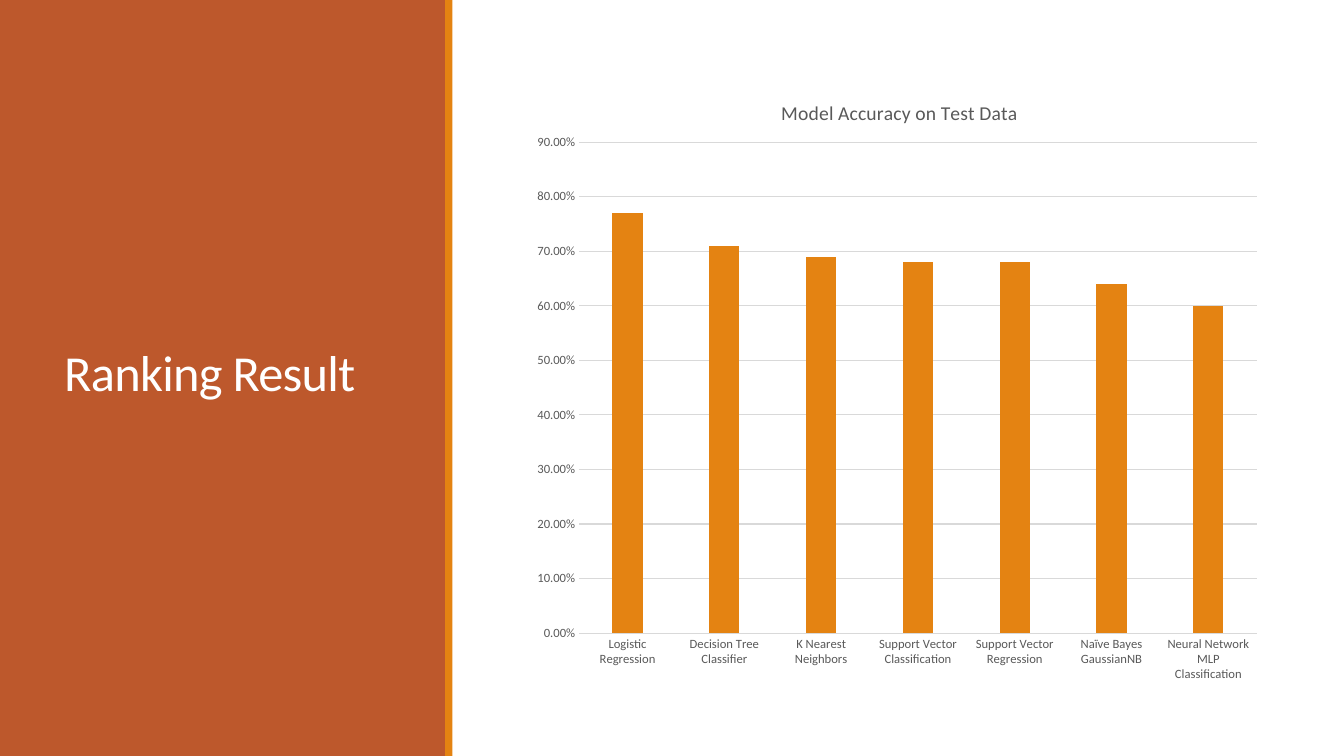
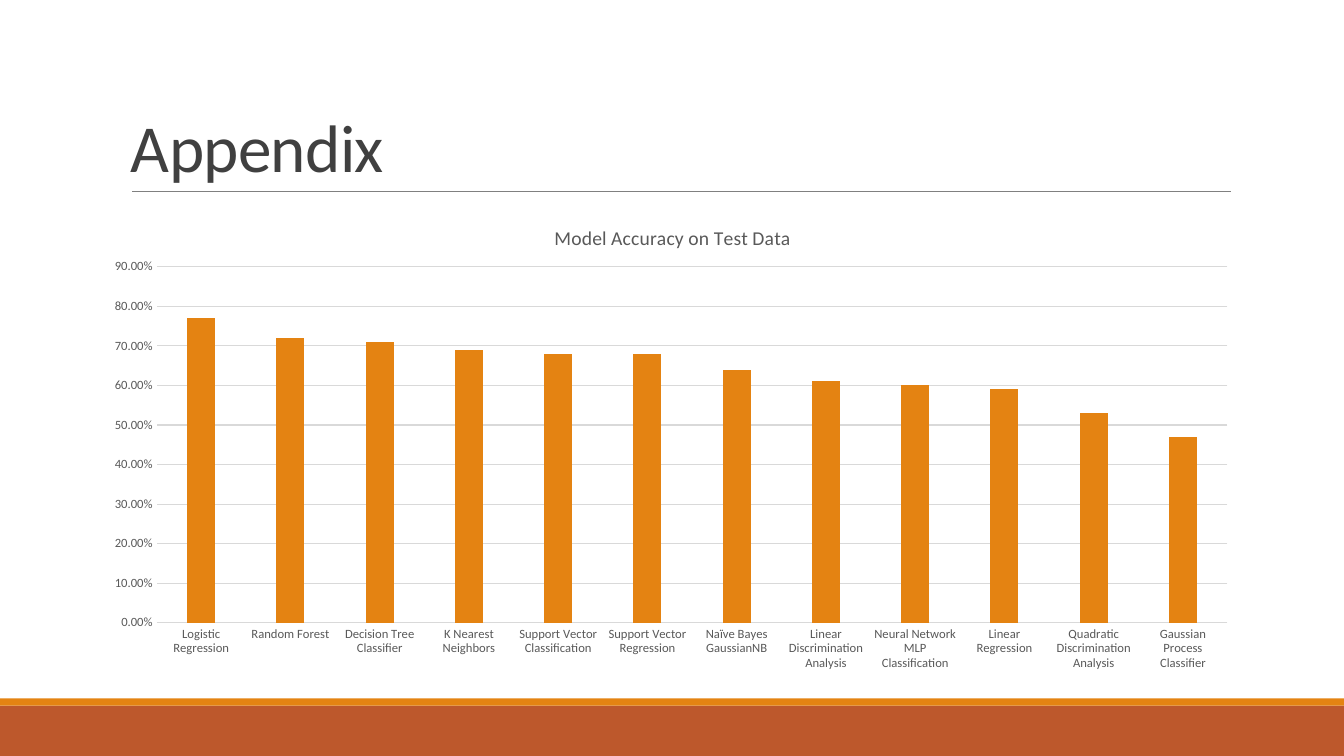
from lxml import etree
from pptx import Presentation
from pptx.chart.data import CategoryChartData
from pptx.dml.color import RGBColor
from pptx.enum.chart import XL_CHART_TYPE, XL_TICK_MARK
from pptx.enum.shapes import MSO_CONNECTOR, MSO_SHAPE
from pptx.enum.text import MSO_ANCHOR
from pptx.oxml.ns import qn
from pptx.util import Cm, Pt

COLUMNS = XL_CHART_TYPE.COLUMN_CLUSTERED
NO_TICK = XL_TICK_MARK.NONE
STRAIGHT = MSO_CONNECTOR.STRAIGHT
RECT = MSO_SHAPE.RECTANGLE
MIDDLE, BOTTOM = MSO_ANCHOR.MIDDLE, MSO_ANCHOR.BOTTOM

FONT = "Calibri"
COLORS = {
    "rust": "BD582C",
    "orange": "E48312",
    "white": "FFFFFF",
    "title": "404040",
    "rule": "808080",
    "label": "595959",
    "grid": "D9D9D9",
}
WIDTH, HEIGHT = 33.87, 19.05
STRIPE = 0.18

ACCURACY = {
    "Logistic Regression": 0.77,
    "Random Forest": 0.72,
    "Decision Tree Classifier": 0.71,
    "K Nearest Neighbors": 0.69,
    "Support Vector Classification": 0.68,
    "Support Vector Regression": 0.68,
    "Naïve Bayes GaussianNB": 0.64,
    "Linear Discrimination Analysis": 0.61,
    "Neural Network MLP Classification": 0.6,
    "Linear Regression": 0.59,
    "Quadratic Discrimination Analysis": 0.53,
    "Gaussian Process Classifier": 0.47,
}
APPENDIX_ONLY = {
    "Random Forest",
    "Linear Discrimination Analysis",
    "Linear Regression",
    "Quadratic Discrimination Analysis",
    "Gaussian Process Classifier",
}


def color(name):
    """Return the named palette colour."""
    return RGBColor.from_string(COLORS[name])


def box(lengths):
    """Convert centimetres to lengths."""
    return [Cm(v) for v in lengths]


def add_band(s, bounds, fill):
    """Add a plain filled rectangle."""
    sp = s.shapes.add_shape(RECT, *box(bounds))
    sp.shadow.inherit = False
    sp.fill.solid()
    sp.fill.fore_color.rgb = color(fill)
    sp.line.fill.background()


def add_title(s, text, bounds, size, fill, anchor):
    """Add a slide title in the shared style."""
    tf = s.shapes.add_textbox(*box(bounds)).text_frame
    tf.word_wrap = True
    tf.vertical_anchor = anchor
    tf.text = text
    p = tf.paragraphs[0]
    p.line_spacing = 0.85
    r = p.runs[0]
    set_font(r.font, size, fill)
    r.font._element.set("spc", "-50")


def add_rule(s, x1, x2, y):
    """Add the thin horizontal line under a title."""
    line = s.shapes.add_connector(STRAIGHT, *box((x1, y, x2, y)))
    line.line.color.rgb = color("rule")
    line.line.width = Pt(0.5)
    etree.SubElement(line._element.spPr, qn("a:effectLst"))


def set_font(font, size, fill):
    """Set typeface, size and colour of a font."""
    font.name = FONT
    font.size = Pt(size)
    font.bold = False
    font.color.rgb = color(fill)


def set_layout(parent, fractions, inner=False):
    """Place a chart part by fractions of the chart area."""
    layout = parent.find(qn("c:layout"))
    if layout is None:
        layout = etree.Element(qn("c:layout"))
        parent.insert(0, layout)
    manual = etree.SubElement(layout, qn("c:manualLayout"))
    settings = [("layoutTarget", "inner")] if inner else []
    settings += [("xMode", "edge"), ("yMode", "edge")]
    settings += zip("xywh", fractions)
    for tag, value in settings:
        etree.SubElement(manual, qn("c:" + tag)).set("val", str(value))


def style_axis(axis):
    """Apply the label style shared by both axes."""
    axis.major_tick_mark = axis.minor_tick_mark = NO_TICK
    set_font(axis.tick_labels.font, 9, "label")


def style_line(line):
    """Apply the pale line of grid and axis."""
    line.color.rgb = color("grid")
    line.width = Pt(0.75)


def add_accuracy_chart(s, models, bounds, title_at, plot_at):
    """Add the column chart of model accuracies."""
    data = CategoryChartData(number_format="0.00%")
    data.categories = models
    data.add_series("Series 1", [ACCURACY[m] for m in models])
    chart = s.shapes.add_chart(COLUMNS, *box(bounds), data).chart
    chart.has_legend = False
    chart.font.name = FONT
    chart.font.size = Pt(10)

    chart.has_title = True
    tf = chart.chart_title.text_frame
    tf.text = "Model Accuracy on Test Data"
    set_font(tf.paragraphs[0].runs[0].font, 14, "label")
    chart.chart_title.include_in_layout = False
    set_layout(chart.chart_title._element, title_at)
    set_layout(chart._chartSpace.chart.plotArea, plot_at, inner=True)

    style_axis(chart.category_axis)
    style_line(chart.category_axis.format.line)
    values = chart.value_axis
    style_axis(values)
    values.minimum_scale, values.maximum_scale = 0, 0.9
    values.major_unit = 0.1
    values.format.line.fill.background()
    style_line(values.major_gridlines.format.line)
    values.tick_labels.number_format = "0.00%"
    values.tick_labels.number_format_is_linked = False

    plot = chart.plots[0]
    plot.gap_width, plot.overlap = 219, -27
    plot.vary_by_categories = False
    fill = plot.series[0].format.fill
    fill.solid()
    fill.fore_color.rgb = color("orange")


def add_ranking(s):
    """Build the ranking slide with its side panel."""
    add_band(s, (0, 0, 11.25, HEIGHT), "rust")
    add_title(s, "Ranking Result", (1.37, 1.45, 8.56, 16.03), 36, "white", MIDDLE)
    add_band(s, (11.22, 0, STRIPE, HEIGHT), "orange")
    models = [m for m in ACCURACY if m not in APPENDIX_ONLY]
    add_accuracy_chart(s, models, (13.18, 1.78, 18.87, 15.7),
                       (0.34, 0.04), (0.075, 0.115, 0.905, 0.788))


def add_appendix(s):
    """Build the appendix slide with its bottom band."""
    add_band(s, (0, 17.78, WIDTH, 1.27), "rust")
    add_band(s, (0, 17.6, WIDTH, STRIPE), "orange")
    add_rule(s, 3.33, 31.01, 4.83)
    add_title(s, "Appendix", (3.05, 0.79, 27.94, 4.04), 48, "title", BOTTOM)
    add_accuracy_chart(s, list(ACCURACY), (2.34, 5.08, 29.21, 12.09),
                       (0.395, 0.04), (0.055, 0.136, 0.924, 0.742))


def main():
    """Build and save the presentation."""
    prs = Presentation()
    prs.slide_width, prs.slide_height = box((WIDTH, HEIGHT))
    for build in (add_ranking, add_appendix):
        build(prs.slides.add_slide(prs.slide_layouts[6]))
    prs.save("out.pptx")


if __name__ == "__main__":
    main()
